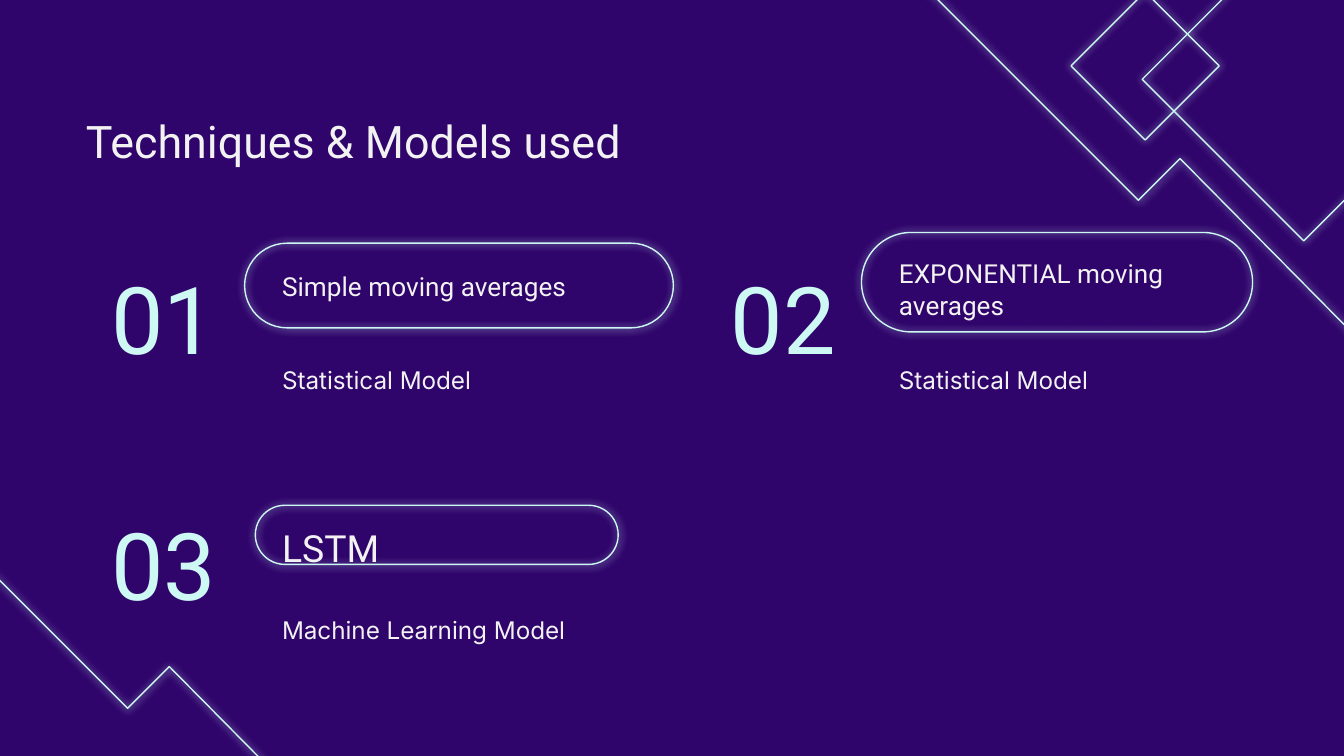
from lxml.etree import SubElement
from pptx import Presentation
from pptx.dml.color import RGBColor
from pptx.enum.shapes import MSO_SHAPE as Preset
from pptx.enum.text import MSO_ANCHOR as Anchor, PP_ALIGN as Align
from pptx.oxml.ns import qn
from pptx.util import Emu, Inches, Pt

COLUMNS = 100
PURPLE, AQUA, PALE = "2F046B", "CDF8F4", "F2F2F2"
ZIGZAG = [(0, 0), (16, 16), (19.1, 12.9), (36.5, 30.5)]
NUMBER = {"size": 50, "color": AQUA, "align": Align.CENTER, "spacing": 1.5}
HEADING = {"size": 14}
LSTM_HEADING = {"size": 20, "spacing": 1.5}
CAPTION = {"size": 13, "font": "Inter"}


def rgb(color):
    return RGBColor.from_string(color)


class NeonSlide:
    """Draws glowing outlines and text on a slide grid of 100 square columns."""

    def __init__(self, deck):
        self.unit = deck.slide_width / COLUMNS
        self.slide = deck.slides.add_slide(deck.slide_layouts[6])
        fill = self.slide.background.fill
        fill.solid()
        fill.fore_color.rgb = rgb(PURPLE)

    def grid(self, *lengths):
        return [Emu(round(length * self.unit)) for length in lengths]

    def glow(self, outline):
        outline.fill.background()
        outline.line.color.rgb = rgb(AQUA)
        outline.line.width = Pt(0.75)
        outline.shadow.inherit = False
        effects = outline._element.spPr.find(qn("a:effectLst"))
        halo = SubElement(effects, qn("a:outerShdw"), blurRad=str(Pt(4.5)),
                          dist="0", dir="0", algn="ctr", rotWithShape="0")
        SubElement(halo, qn("a:srgbClr"), val=AQUA)

    def diamond(self, left, top, side):
        square = self.slide.shapes.add_shape(
            Preset.RECTANGLE, *self.grid(left, top, side, side))
        square.rotation = 135
        self.glow(square)

    def zigzag(self, left, top):
        start, *corners = [self.grid(left + x, top + y) for x, y in ZIGZAG]
        builder = self.slide.shapes.build_freeform(*start)
        builder.add_line_segments(corners, close=False)
        self.glow(builder.convert_to_shape())

    def pill(self, *place):
        pill = self.slide.shapes.add_shape(
            Preset.ROUNDED_RECTANGLE, *self.grid(*place))
        pill.adjustments[0] = 0.5
        self.glow(pill)

    def text(self, words, place, size, font="Roboto", color=PALE,
             align=Align.LEFT, spacing=1.0, anchor=Anchor.MIDDLE):
        frame = self.slide.shapes.add_textbox(*self.grid(*place)).text_frame
        inset = Inches(0.1)
        frame_format = {"word_wrap": True, "vertical_anchor": anchor,
                        "margin_left": inset, "margin_right": inset,
                        "margin_top": inset, "margin_bottom": inset}
        paragraph = frame.paragraphs[0]
        run = paragraph.add_run()
        run.text = words
        run.font.color.rgb = rgb(color)
        formats = [(frame, frame_format),
                   (paragraph, {"alignment": align, "line_spacing": spacing}),
                   (run.font, {"size": Pt(size), "name": font})]
        for target, values in formats:
            for attribute, value in values.items():
                setattr(target, attribute, value)

    def technique(self, number, heading, caption, left, heading_left, top,
                  heading_top, heading_height, caption_top, heading_style):
        self.text(number, (left, top, 13.6, 6.3), **NUMBER)
        self.text(heading, (heading_left, heading_top, 29.1, heading_height),
                  **heading_style)
        self.text(caption, (heading_left, caption_top, 29.1, 6.3), **CAPTION)


def main():
    deck = Presentation()
    deck.slide_width = Inches(10)
    deck.slide_height = deck.slide_width * 9 // 16
    page = NeonSlide(deck)

    page.diamond(88.5, -2.6, 17)
    page.diamond(81.3, 1, 7.8)
    page.zigzag(68.7, -1.1)
    page.zigzag(-6.5, 36.7)

    page.pill(18.2, 18.1, 31.9, 6.3)
    page.pill(64.1, 17.3, 29.1, 7.4)
    page.pill(19, 37.6, 27, 4.4)

    page.text("Techniques & Models used", (5.4, 5.5, 84.3, 6.3), 24,
              spacing=1.5, anchor=Anchor.TOP)
    techniques = [
        ("01", "Simple moving averages", "Statistical Model",
         5.4, 20, 18.4, 19.1, 4.4, 25.1, HEADING),
        ("02", "EXPONENTIAL moving averages", "Statistical Model",
         51.5, 65.9, 18.4, 18.9, 5.2, 25.1, HEADING),
        ("03", "LSTM", "Machine Learning Model",
         5.4, 20, 36.7, 37.3, 5.2, 43.7, LSTM_HEADING),
    ]
    for technique in techniques:
        page.technique(*technique)

    deck.save("out.pptx")


if __name__ == "__main__":
    main()
